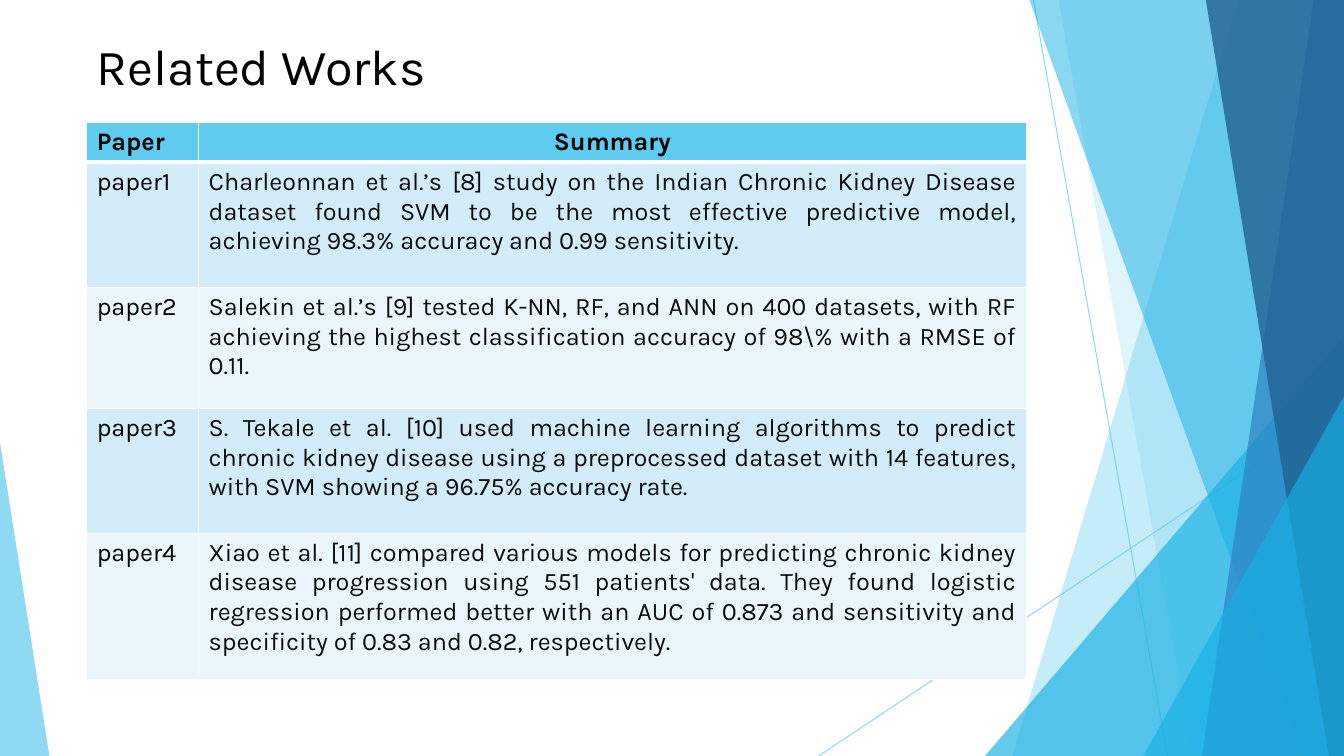
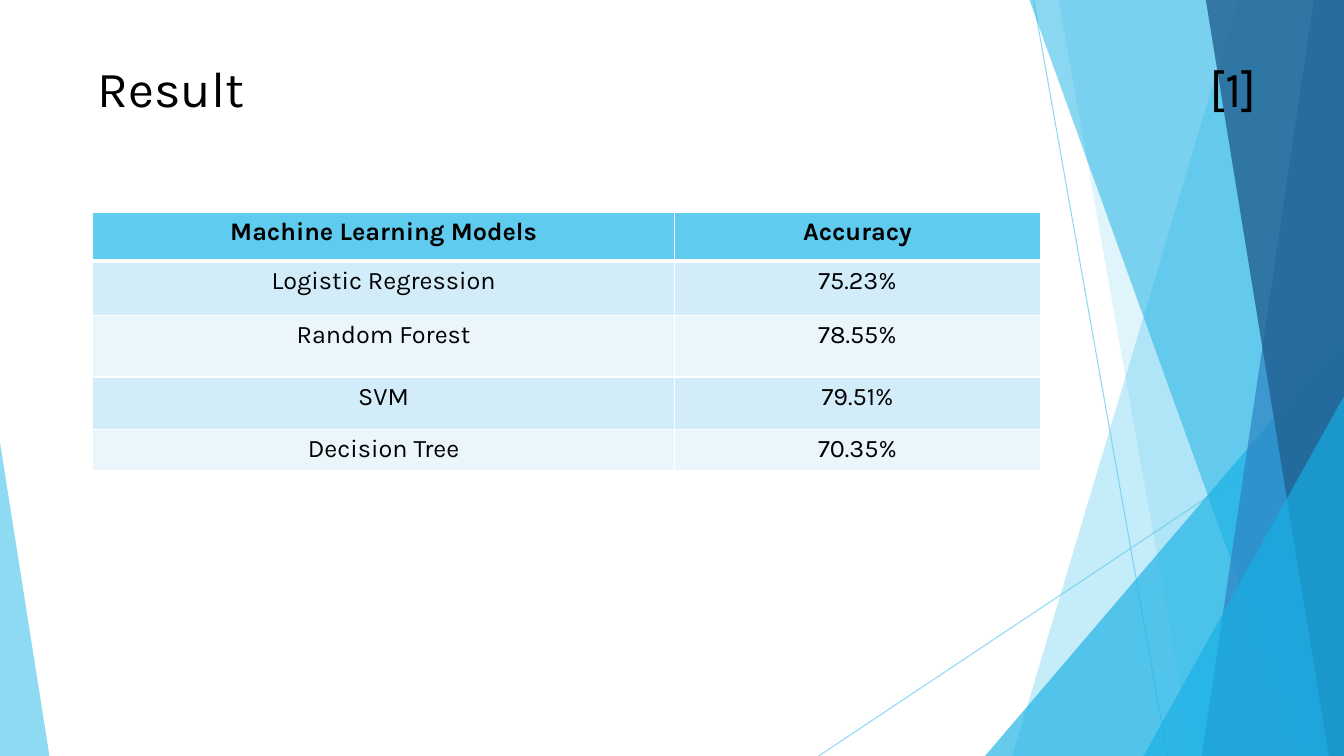
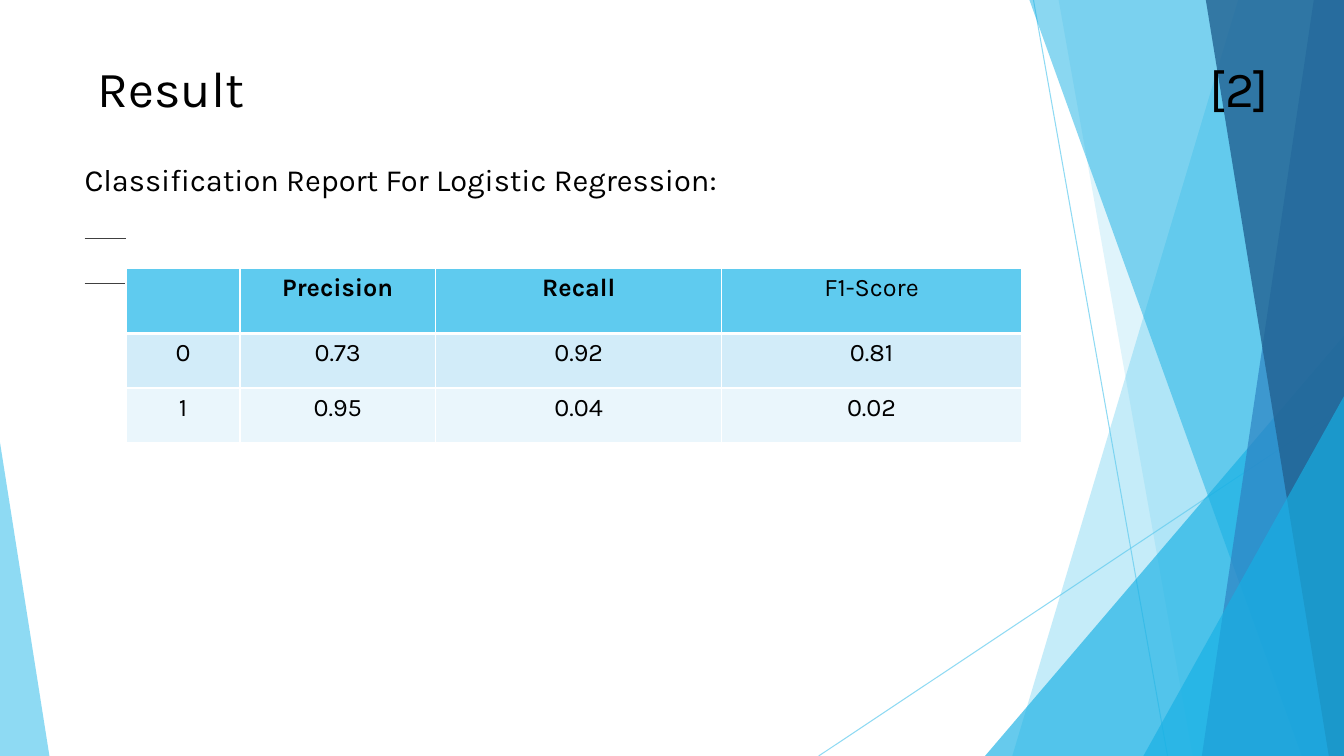
from pptx import Presentation
from pptx.dml.color import RGBColor
from pptx.enum.shapes import MSO_CONNECTOR, MSO_SHAPE
from pptx.enum.text import PP_ALIGN
from pptx.oxml.ns import qn
from pptx.util import Inches, Pt
from lxml.etree import SubElement

SLIDE_W, SLIDE_H = 13.33, 7.5
FONT = "Karla"
SKY = RGBColor(0x5F, 0xCB, 0xEF)
CYAN = RGBColor(0x17, 0xB0, 0xE4)
BLUE = RGBColor(0x2E, 0x83, 0xC3)
NAVY = RGBColor(0x22, 0x62, 0x92)
BAND_DARK = RGBColor(0xD2, 0xEC, 0xF9)
BAND_LIGHT = RGBColor(0xEA, 0xF6, 0xFC)
BLACK = RGBColor(0, 0, 0)
INK = RGBColor(0x0D, 0x0D, 0x0D)
GREY = RGBColor(0x40, 0x40, 0x40)
LEFT, CENTER, JUSTIFY = PP_ALIGN.LEFT, PP_ALIGN.CENTER, PP_ALIGN.JUSTIFY

# Backdrop: thin rays, then panels and triangles from back to front
RAYS = [(10.25, 0, 11.58, SLIDE_H), (SLIDE_W, 4.03, 8.12, SLIDE_H)]
BACKDROP = [  # panel: top x, bottom x; triangle: left, top, width, apex
    ("panel", (12.28, 10.04), SKY, 36),
    ("panel", (10.5, 11.83), SKY, 20),
    ("triangle", (9.77, 3.33, 3.56, 1), CYAN, 66),
    ("panel", (10.21, 12.91), CYAN, 50),
    ("panel", (13.03, 11.92), BLUE, 70),
    ("panel", (11.96, 13.18), NAVY, 80),
    ("triangle", (11.34, 3.93, 1.99, 1), CYAN, 66),
    ("triangle", (0, 4.39, 0.49, 0), SKY, 70),
]

# Content
SLIDES = [
    {
        "title": "Related Works", "title_at": (0.86, 0.3, 8.75, 0.57),
        "table": {
            "at": (0.86, 1.21),
            "cols": [1.11, 8.21],
            "heights": [0.38, 1.24, 1.2, 1.24, 1.45],
            "header_aligns": [LEFT, CENTER],
            "aligns": [LEFT, JUSTIFY],
            "colors": [BLACK, INK],
            "rows": [
                ("Paper", "Summary"),
                ("paper1", "Charleonnan et al.’s [8] study on the Indian Chronic Kidney "
                 "Disease dataset found SVM to be the most effective predictive model, "
                 "achieving 98.3% accuracy and 0.99 sensitivity."),
                ("paper2", "Salekin et al.’s [9] tested K-NN, RF, and ANN on 400 datasets, "
                 "with RF achieving the highest classification accuracy of 98\\% with a "
                 "RMSE of 0.11."),
                ("paper3", "S. Tekale et al. [10] used machine learning algorithms to "
                 "predict chronic kidney disease using a preprocessed dataset with 14 "
                 "features, with SVM showing a 96.75% accuracy rate."),
                ("paper4", "Xiao et al. [11] compared various models for predicting chronic "
                 "kidney disease progression using 551 patients' data. They found logistic "
                 "regression performed better with an AUC of 0.873 and sensitivity and "
                 "specificity of 0.83 and 0.82, respectively."),
            ],
        },
    },
    {
        "title": "Result\t[1]",
        "table": {
            "at": (0.92, 2.11),
            "cols": [5.77, 3.63],
            "heights": [0.48, 0.54, 0.61, 0.52, 0.41],
            "rows": [
                ("Machine Learning Models", "Accuracy"),
                ("Logistic Regression", "75.23%"),
                ("Random Forest", "78.55%"),
                ("SVM", "79.51%"),
                ("Decision Tree", "70.35%"),
            ],
        },
    },
    {
        "title": "Result\t[2]",
        "subtitle": "Classification Report For Logistic Regression:",
        "rules": [2.37, 2.81],
        "table": {
            "at": (1.25, 2.66),
            "cols": [1.13, 1.94, 2.84, 2.97],
            "heights": [0.65, 0.54, 0.54],
            "plain_headers": ["F1-Score"],
            "rows": [
                ("", "Precision", "Recall", "F1-Score"),
                ("0", "0.73", "0.92", "0.81"),
                ("1", "0.95", "0.04", "0.02"),
            ],
        },
    },
]
RESULT_TITLE_AT = (0.87, 0.52, 11.98, 1.11)
SUBTITLE_AT = (0.74, 1.55, 9.4, 0.5)
RULE_X = (0.84, 1.25)
NUMBER_TAB = 11.03


def write(frame, text, size=18, color=BLACK, bold=False, align=LEFT, tab=None):
    """Write one paragraph into a text frame, with an optional tab stop."""
    frame.word_wrap = True
    paragraph = frame.paragraphs[0]
    paragraph.alignment = align
    if tab:
        stops = SubElement(paragraph._p.get_or_add_pPr(), qn("a:tabLst"))
        SubElement(stops, qn("a:tab"), pos=str(Inches(tab)), algn="l")
    run = paragraph.add_run()
    run.text = text
    run.font.name, run.font.size, run.font.bold = FONT, Pt(size), bold
    run.font.color.rgb = color


def add_text(slide, at, text, **style):
    box = slide.shapes.add_textbox(*map(Inches, at))
    write(box.text_frame, text, **style)


def set_opacity(shape, percent):
    for color in shape.element.spPr.iter(qn("a:srgbClr")):
        SubElement(color, qn("a:alpha"), val=str(percent * 1000))


def add_line(slide, ends, color):
    line = slide.shapes.add_connector(MSO_CONNECTOR.STRAIGHT, *map(Inches, ends))
    line.line.color.rgb = color
    line.line.width = Pt(0.75)
    SubElement(line.element.spPr, qn("a:effectLst"))
    return line


def add_panel(slide, top_x, bottom_x):
    """Slanted left edge, reaching to the right side of the slide."""
    outline = slide.shapes.build_freeform(Inches(top_x), 0)
    corners = [(SLIDE_W, 0), (SLIDE_W, SLIDE_H), (bottom_x, SLIDE_H)]
    outline.add_line_segments([(Inches(x), Inches(y)) for x, y in corners])
    return outline.convert_to_shape()


def add_triangle(slide, left, top, width, apex):
    """Right triangle standing on the bottom of the slide."""
    at = (left, top, width, SLIDE_H - top)
    triangle = slide.shapes.add_shape(MSO_SHAPE.ISOSCELES_TRIANGLE, *map(Inches, at))
    triangle.adjustments[0] = apex
    return triangle


def add_backdrop(slide):
    for ends in RAYS:
        set_opacity(add_line(slide, ends, SKY), 70)
    makers = {"panel": add_panel, "triangle": add_triangle}
    for kind, geometry, color, opacity in BACKDROP:
        shape = makers[kind](slide, *geometry)
        shape.shadow.inherit = False
        shape.fill.solid()
        shape.fill.fore_color.rgb = color
        shape.line.fill.background()
        set_opacity(shape, opacity)


def set_borders(cell, top, bottom):
    """White borders, 1 pt at the sides."""
    properties = cell._tc.get_or_add_tcPr()
    for side, width in (("L", 1), ("R", 1), ("T", top), ("B", bottom)):
        edge = SubElement(properties, qn(f"a:ln{side}"), w=str(Pt(width)))
        fill = SubElement(edge, qn("a:solidFill"))
        SubElement(fill, qn("a:srgbClr"), val="FFFFFF")


def add_data_table(slide, at, cols, heights, rows, header_aligns=None, aligns=None,
                   colors=None, plain_headers=()):
    count = len(cols)
    header_aligns = header_aligns or [CENTER] * count
    aligns = aligns or [CENTER] * count
    colors = colors or [BLACK] * count
    frame = (*at, sum(cols), sum(heights))
    table = slide.shapes.add_table(len(rows), count, *map(Inches, frame)).table
    for column, width in zip(table.columns, cols):
        column.width = Inches(width)
    for r, (row, height) in enumerate(zip(rows, heights)):
        table.rows[r].height = Inches(height)
        header = r == 0
        for c, text in enumerate(row):
            cell = table.cell(r, c)
            set_borders(cell, 3 if r == 1 else 1, 3 if header else 1)
            cell.fill.solid()
            cell.fill.fore_color.rgb = SKY if header else (BAND_LIGHT, BAND_DARK)[r % 2]
            if text:
                write(cell.text_frame, text,
                      color=BLACK if header else colors[c],
                      bold=header and text not in plain_headers,
                      align=(header_aligns if header else aligns)[c])


def main():
    deck = Presentation()
    deck.slide_width, deck.slide_height = Inches(SLIDE_W), Inches(SLIDE_H)
    for content in SLIDES:
        slide = deck.slides.add_slide(deck.slide_layouts[6])
        add_backdrop(slide)
        title = content["title"]
        add_text(slide, content.get("title_at", RESULT_TITLE_AT), title, size=36,
                 tab=NUMBER_TAB if "\t" in title else None)
        if "subtitle" in content:
            add_text(slide, SUBTITLE_AT, content["subtitle"], size=22)
        for y in content.get("rules", []):
            add_line(slide, (RULE_X[0], y, RULE_X[1], y), GREY)
        add_data_table(slide, **content["table"])
    deck.save("out.pptx")


if __name__ == "__main__":
    main()
